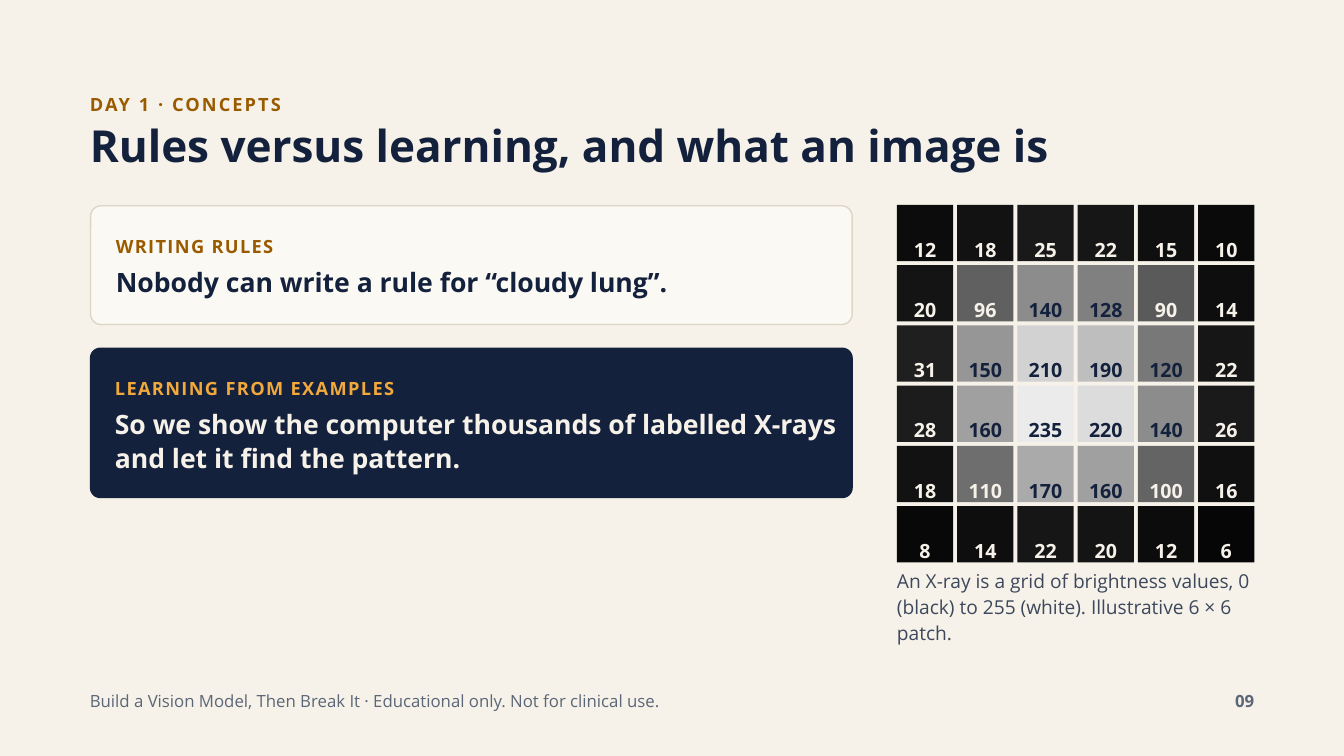
from pptx import Presentation
from pptx.dml.color import RGBColor
from pptx.enum.shapes import MSO_SHAPE
from pptx.enum.text import MSO_ANCHOR, MSO_AUTO_SIZE, PP_ALIGN
from pptx.util import Pt

FONT = "Open Sans"
CREAM, NAVY, OCHRE, AMBER = "F6F2E9", "14213D", "9A5B00", "F2A93B"
PAPER, PAPER_EDGE, SLATE, GREY = "FBF9F3", "DDD6C6", "3D485C", "5B6677"

LEFT = 64.2
GRID_LEFT, GRID_TOP, CELL, PITCH = 640.7, 146.4, 40.2, 43.04
DARK_TEXT_FROM = 120  # brightness at which numbers switch to navy
BRIGHTNESS = [
    [12, 18, 25, 22, 15, 10],
    [20, 96, 140, 128, 90, 14],
    [31, 150, 210, 190, 120, 22],
    [28, 160, 235, 220, 140, 26],
    [18, 110, 170, 160, 100, 16],
    [8, 14, 22, 20, 12, 6],
]


def rgb(value):
    return RGBColor.from_string(value)


def write(shape, text, size, color, leading, bold=True, align=PP_ALIGN.LEFT, tracking=0):
    """Fill a shape with one paragraph at an exact line height."""
    frame = shape.text_frame
    frame.word_wrap = True
    frame.auto_size = MSO_AUTO_SIZE.NONE
    frame.vertical_anchor = MSO_ANCHOR.TOP
    frame.margin_left = frame.margin_right = frame.margin_top = frame.margin_bottom = 0
    paragraph = frame.paragraphs[0]
    paragraph.alignment = align
    paragraph.line_spacing = Pt(leading)
    run = paragraph.add_run()
    run.text = text
    font = run.font
    font.name, font.size, font.bold = FONT, Pt(size), bold
    font.color.rgb = rgb(color)
    if tracking:
        font._element.set("spc", str(round(tracking * 100)))


def add_text(slide, box, *args, **style):
    write(slide.shapes.add_textbox(*map(Pt, box)), *args, **style)


def add_box(slide, kind, box, fill, edge=None):
    shape = slide.shapes.add_shape(kind, *map(Pt, box))
    shape.shadow.inherit = False
    shape.fill.solid()
    shape.fill.fore_color.rgb = rgb(fill)
    if edge:
        shape.line.color.rgb = rgb(edge)
        shape.line.width = Pt(1)
    else:
        shape.line.fill.background()
    return shape


def add_card(slide, box, text_left, label, message, fill, label_color, text_color, edge=None):
    left, top, width, height = box
    card = add_box(slide, MSO_SHAPE.ROUNDED_RECTANGLE, box, fill, edge)
    card.adjustments[0] = 7.5 / height
    text_width = left + width - text_left - 4
    add_text(slide, (text_left, top + 18.4, text_width, 20), label, 13, label_color, 18.2,
             tracking=1)
    add_text(slide, (text_left, top + 42.2, text_width, height - 60), message, 19,
             text_color, 23.8)


def add_brightness_grid(slide):
    for row, values in enumerate(BRIGHTNESS):
        for column, value in enumerate(values):
            box = (GRID_LEFT + column * PITCH, GRID_TOP + row * PITCH, CELL, CELL)
            cell = add_box(slide, MSO_SHAPE.RECTANGLE, box, f"{value:02X}" * 3)
            color = NAVY if value >= DARK_TEXT_FROM else CREAM
            write(cell, str(value), 14, color, 40, align=PP_ALIGN.CENTER)


def main():
    prs = Presentation()
    prs.slide_width, prs.slide_height = Pt(960), Pt(540)
    slide = prs.slides.add_slide(prs.slide_layouts[5])
    slide.background.fill.solid()
    slide.background.fill.fore_color.rgb = rgb(CREAM)

    # Heading
    add_text(slide, (LEFT, 64.2, 857, 20), "DAY 1 · CONCEPTS", 13, OCHRE, 18.2, tracking=1.5)
    title = slide.shapes.title
    title.left, title.top, title.width, title.height = map(Pt, (LEFT, 87.8, 857, 36.7))
    write(title, "Rules versus learning, and what an image is", 31.5, NAVY, 34.6)

    # Two approaches
    add_card(slide, (64.7, 147, 544, 84.8), 82.8, "WRITING RULES",
             "Nobody can write a rule for “cloudy lung”.", PAPER, OCHRE, NAVY, PAPER_EDGE)
    add_card(slide, (LEFT, 248.3, 545, 107.6), 82.1, "LEARNING FROM EXAMPLES",
             "So we show the computer thousands of labelled X-rays and let it find the pattern.",
             NAVY, AMBER, CREAM)

    # Image patch and caption
    add_brightness_grid(slide)
    add_text(slide, (GRID_LEFT, 404.6, 262.8, 57.6),
             "An X-ray is a grid of brightness values, 0 (black) to 255 (white). "
             "Illustrative 6 × 6 patch.", 13.7, SLATE, 18.6, bold=False)

    # Footer
    add_text(slide, (LEFT, 491, 720, 18.7),
             "Build a Vision Model, Then Break It · Educational only. Not for clinical use.",
             12, GREY, 16.8, bold=False)
    add_text(slide, (832, 491, 64, 18.7), "09", 12, GREY, 16.8, align=PP_ALIGN.RIGHT)

    prs.save("out.pptx")


main()
